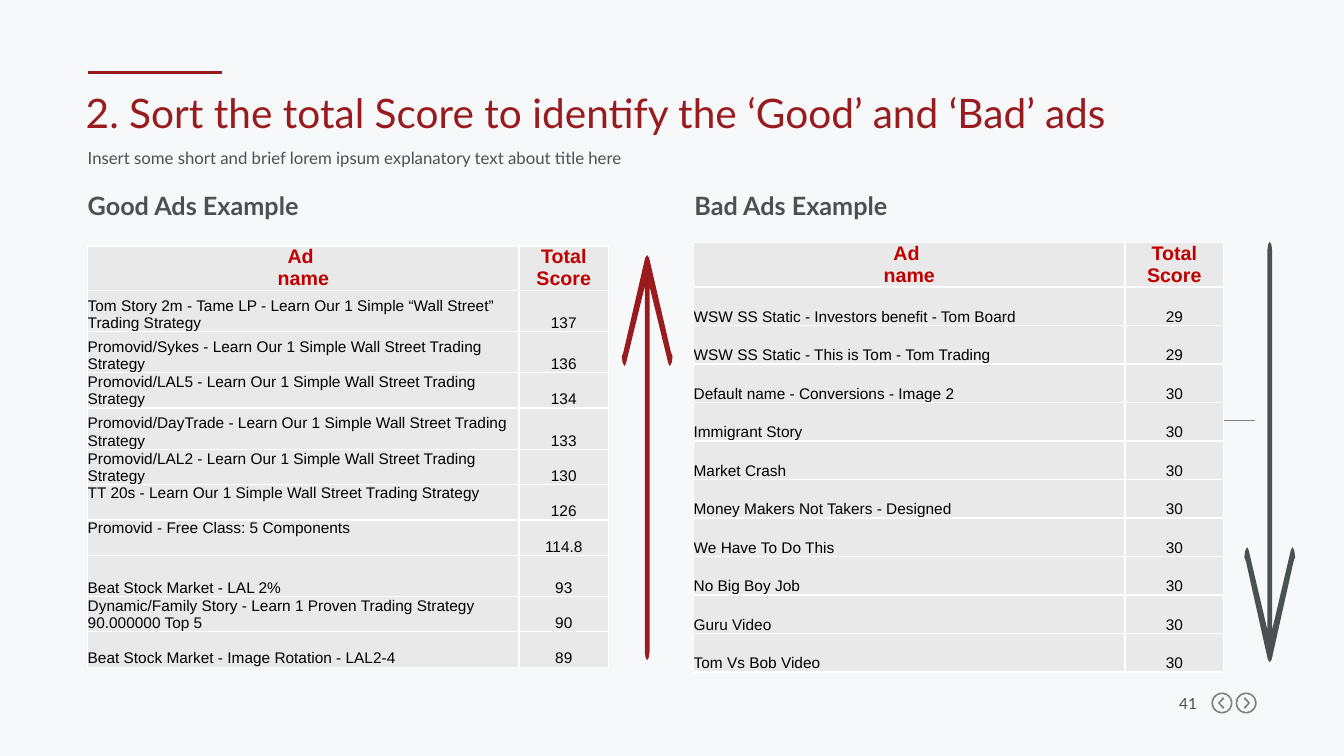
from lxml import etree
from pptx import Presentation
from pptx import util as u
from pptx.dml.color import RGBColor
from pptx.enum import shapes, text
from pptx.oxml import ns

RED, GREY, ICON = "991B1E", "4B5050", "7F7F7F"
TOP, MIDDLE, BOTTOM = text.MSO_ANCHOR.TOP, text.MSO_ANCHOR.MIDDLE, text.MSO_ANCHOR.BOTTOM
LEFT, CENTER, RIGHT = text.PP_ALIGN.LEFT, text.PP_ALIGN.CENTER, text.PP_ALIGN.RIGHT

GOOD_ADS = [
    ("Tom Story 2m - Tame LP - Learn Our 1 Simple “Wall Street” Trading Strategy", "137", 1.04, BOTTOM),
    ("Promovid/Sykes - Learn Our 1 Simple Wall Street Trading Strategy", "136", 1.04, BOTTOM),
    ("Promovid/LAL5 - Learn Our 1 Simple Wall Street Trading Strategy", "134", 0.89, BOTTOM),
    ("Promovid/DayTrade - Learn Our 1 Simple Wall Street Trading Strategy", "133", 1.04, BOTTOM),
    ("Promovid/LAL2 - Learn Our 1 Simple Wall Street Trading Strategy", "130", 0.89, BOTTOM),
    ("TT 20s - Learn Our 1 Simple Wall Street Trading Strategy", "126", 0.89, TOP),
    ("Promovid - Free Class: 5 Components", "114.8", 0.89, TOP),
    ("Beat Stock Market - LAL 2%", "93", 1.04, BOTTOM),
    ("Dynamic/Family Story - Learn 1 Proven Trading Strategy 90.000000 Top 5", "90", 0.89, BOTTOM),
    ("Beat Stock Market - Image Rotation - LAL2-4", "89", 0.89, BOTTOM),
]
BAD_ADS = [(name, score, 0.97, BOTTOM) for name, score in [
    ("WSW SS Static - Investors benefit - Tom Board", "29"),
    ("WSW SS Static - This is Tom - Tom Trading", "29"),
    ("Default name - Conversions - Image 2", "30"),
    ("Immigrant Story", "30"),
    ("Market Crash", "30"),
    ("Money Makers Not Takers - Designed", "30"),
    ("We Have To Do This", "30"),
    ("No Big Boy Job", "30"),
    ("Guru Video", "30"),
    ("Tom Vs Bob Video", "30"),
]]
ARROW_HALF = [(0, 0), (0.05, 0.7), (0.6, 24), (0.64, 25), (0.62, 26.5), (0.57, 27.4),
              (0.53, 26.6), (0.06, 7.7), (0.06, 98), (0.04, 99.3), (0, 100)]
CHEVRON = [(-0.06, -0.11), (0.05, 0), (-0.06, 0.11), (-0.03, 0.15), (0.1, 0), (-0.03, -0.15)]


def color(value):
    return RGBColor.from_string(value)


def add_span(para, words, size, font, ink, bold=False):
    span = para.add_run()
    span.text = words
    span.font.size = u.Pt(size)
    span.font.name = font
    span.font.bold = bold
    span.font.color.rgb = color(ink)


def fill_box(box, place, words, size, ink, spacing=1.0, align=LEFT, anchor=TOP, bold=False):
    box.left, box.top, box.width, box.height = [u.Cm(length) for length in place]
    frame = box.text_frame
    frame.margin_left = frame.margin_top = frame.margin_right = frame.margin_bottom = 0
    frame.word_wrap = True
    frame.auto_size = text.MSO_AUTO_SIZE.NONE
    frame.vertical_anchor = anchor
    para = frame.paragraphs[0]
    if box.is_placeholder:
        settings = para._p.get_or_add_pPr()
        settings.set("marL", "0")
        settings.set("indent", "0")
        etree.SubElement(settings, ns.qn("a:buNone"))
    para.alignment = align
    para.line_spacing = spacing
    para.space_before = u.Pt(0)
    add_span(para, words, size, "Lato", ink, bold)


def add_label(page, place, *args, **kwargs):
    box = page.shapes.add_textbox(0, 0, 0, 0)
    fill_box(box, place, *args, **kwargs)


def add_rule(page, left, right, y, ink, weight):
    rule = page.shapes.add_connector(
        shapes.MSO_CONNECTOR.STRAIGHT, u.Cm(left), u.Cm(y), u.Cm(right), u.Cm(y))
    rule.line.color.rgb = color(ink)
    rule.line.width = u.Pt(weight)
    etree.SubElement(rule._element.spPr, ns.qn("a:effectLst"))


def paint(shape, ink):
    shape.shadow.inherit = False
    shape.fill.solid()
    shape.fill.fore_color.rgb = color(ink)
    shape.line.fill.background()


def add_outline(page, points, ink):
    corners = [(u.Cm(x), u.Cm(y)) for x, y in points]
    builder = page.shapes.build_freeform(*corners[0])
    builder.add_line_segments(corners[1:], close=True)
    paint(builder.convert_to_shape(), ink)


def add_arrow(page, center, tip, length, ink):
    def side(sign):
        return [(center + sign * x, tip + length * share / 100) for x, share in ARROW_HALF]
    add_outline(page, side(1) + side(-1)[-2:0:-1], ink)


def add_nav_button(page, left, direction):
    top, size = 17.45, 0.53
    ring = page.shapes.add_shape(
        shapes.MSO_SHAPE.DONUT, u.Cm(left), u.Cm(top), u.Cm(size), u.Cm(size))
    ring.adjustments[0] = 0.07
    paint(ring, ICON)
    middle = left + size / 2
    add_outline(page, [(middle + direction * x, top + size / 2 + y) for x, y in CHEVRON], ICON)


def add_borders(cell):
    settings = cell._tc.get_or_add_tcPr()
    for index, side in enumerate(("lnL", "lnR", "lnT", "lnB")):
        border = etree.Element(ns.qn("a:" + side), w=str(u.Pt(1)))
        solid = etree.SubElement(border, ns.qn("a:solidFill"))
        etree.SubElement(solid, ns.qn("a:srgbClr"), val="FFFFFF")
        settings.insert(index, border)


def fill_cell(cell, lines, size, ink, bold, align, anchor=BOTTOM):
    cell.margin_left = cell.margin_top = cell.margin_right = cell.margin_bottom = 0
    cell.vertical_anchor = anchor
    cell.fill.solid()
    cell.fill.fore_color.rgb = color("E9E9E9")
    add_borders(cell)
    frame = cell.text_frame
    for index, line in enumerate(lines):
        para = frame.add_paragraph() if index else frame.paragraphs[0]
        para.alignment = align
        add_span(para, line, size, "Arial", ink, bold)


def add_score_table(page, left, top, widths, header_height, ads):
    heights = [header_height] + [ad[2] for ad in ads]
    table = page.shapes.add_table(
        len(heights), 2, u.Cm(left), u.Cm(top), u.Cm(sum(widths)), u.Cm(sum(heights))).table
    table.first_row = table.horz_banding = False
    for column, width in zip(table.columns, widths):
        column.width = u.Cm(width)
    for row, height in zip(table.rows, heights):
        row.height = u.Cm(height)
    for column, lines in enumerate((["Ad ", "name"], ["Total Score"])):
        fill_cell(table.cell(0, column), lines, 14, "C00000", True, CENTER)
    for row, (name, score, height, anchor) in enumerate(ads, 1):
        fill_cell(table.cell(row, 0), [name], 11, "000000", False, LEFT, anchor)
        fill_cell(table.cell(row, 1), [score], 11, "000000", False, CENTER)


def main():
    deck = Presentation()
    deck.slide_width, deck.slide_height = u.Cm(33.87), u.Cm(19.05)
    page = deck.slides.add_slide(deck.slide_layouts[1])
    page.background.fill.solid()
    page.background.fill.fore_color.rgb = color("F6F8FA")

    add_rule(page, 2.21, 5.59, 1.83, RED, 2.25)
    add_label(page, (29.41, 17.5, 0.76, 0.46), "41", 11, GREY, align=RIGHT)
    add_nav_button(page, 31.14, 1)
    add_nav_button(page, 30.53, -1)

    fill_box(page.shapes.title, (2.16, 2.13, 29.46, 1.42),
             "2. Sort the total Score to identify the ‘Good’ and ‘Bad’ ads", 29, RED, anchor=MIDDLE)
    fill_box(page.placeholders[1], (2.21, 3.56, 29.46, 0.53),
             "Insert some short and brief lorem ipsum explanatory text about title here",
             12, GREY, spacing=1.33)

    add_arrow(page, 32, 16.69, -10.6, GREY)
    add_rule(page, 22.2, 31.62, 10.59, ICON, 0.75)
    for left, heading in ((2.21, "Good Ads Example"), (17.5, "Bad Ads Example")):
        add_label(page, (left, 4.27, 10.44, 0.81), heading, 18, GREY, spacing=1.7, bold=True)
    add_score_table(page, 2.21, 6.2, (10.87, 2.26), 1.04, GOOD_ADS)
    add_arrow(page, 16.31, 6.43, 10.21, RED)
    add_score_table(page, 17.48, 6.12, (10.87, 2.49), 0.99, BAD_ADS)

    deck.save("out.pptx")


if __name__ == "__main__":
    main()
